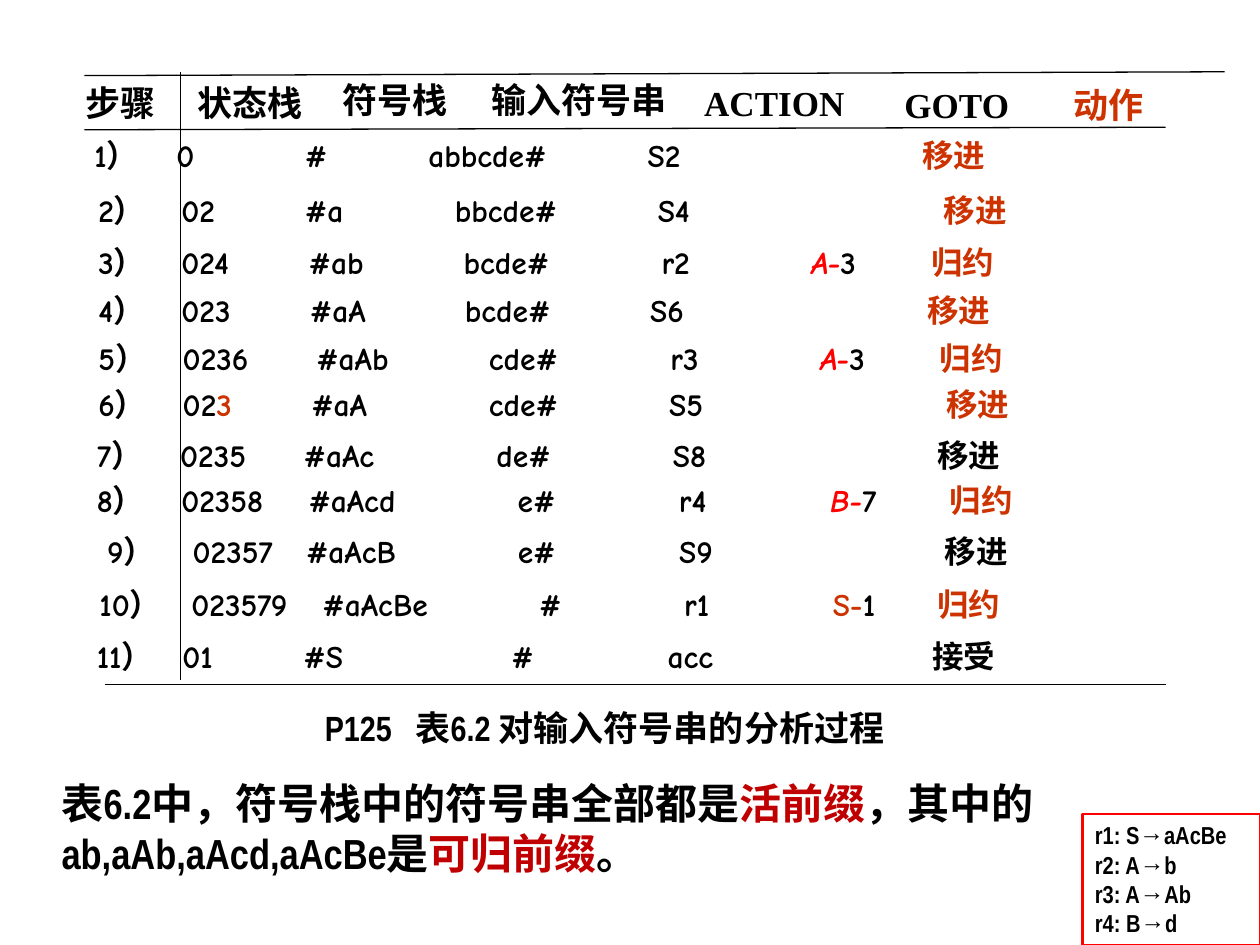
"""Build the slide of the parsing process for an input string."""
from dataclasses import dataclass

from lxml.etree import SubElement
from pptx import Presentation
from pptx.dml.color import RGBColor as RGB
from pptx.enum.shapes import MSO_CONNECTOR as Conn, MSO_SHAPE as Shape
from pptx.enum.text import MSO_ANCHOR as Anchor, MSO_AUTO_SIZE as Auto, PP_ALIGN as Align
from pptx.oxml.ns import qn
from pptx.util import Inches, Pt

BLACK = RGB(0x00, 0x00, 0x00)
ORANGE = RGB(0xCC, 0x33, 0x00)
RED = RGB(0xFF, 0x00, 0x00)
CRIMSON = RGB(0xC0, 0x00, 0x00)
SERIF, HAND, NARROW = "Times New Roman", "Comic Neue", "Arial Narrow"
COLS, ROWS = 1000, 750
CELL = Inches(10) // COLS
INSET = 10


@dataclass
class Run:
    text: str
    color: RGB = BLACK
    italic: bool = False


@dataclass
class Box:
    left: int
    top: int
    width: int
    height: int


@dataclass
class Step:
    box: Box
    stops: tuple[int, ...]
    runs: list[Run]


SHIFT, REDUCE = Run("移进", ORANGE), Run("归约", ORANGE)

RULES = [
    (67, 60, 972, 57), (67, 103, 925, 101), (83, 543, 925, 543), (143, 57, 143, 540),
]

HEADERS = [
    (Box(58, 60, 83, 43), Run("步骤")),
    (Box(147, 60, 117, 43), Run("状态栈")),
    (Box(262, 57, 117, 43), Run("符号栈")),
    (Box(380, 57, 167, 43), Run("输入符号串")),
    (Box(549, 60, 159, 44), Run("ACTION")),
    (Box(708, 61, 159, 44), Run("GOTO")),
    (Box(842, 61, 83, 43), Run("动作", ORANGE)),
]

STEPS = [
    Step(Box(57, 103, 866, 40), (75, 140, 242, 340, 514, 732),
         [Run("1）\t0\t#\tabbcde#\tS2\t"), SHIFT]),
    Step(Box(59, 147, 882, 40), (78, 144, 242, 361, 522, 749),
         [Run("2）\t02\t#a\tbbcde#\tS4\t"), SHIFT]),
    Step(Box(59, 188, 882, 40), (78, 144, 245, 368, 525, 644, 739),
         [Run("3）\t024\t#ab\tbcde#\tr2\t"), Run("A-", RED, True), Run("3\t"), REDUCE]),
    Step(Box(59, 226, 866, 40), (78, 144, 246, 369, 516, 736),
         [Run("4）\t023\t#aA\tbcde#\tS6\t"), SHIFT]),
    Step(Box(59, 264, 882, 40), (78, 145, 251, 388, 532, 651, 746),
         [Run("5）\t0236\t#aAb\tcde#\tr3\t"), Run("A-", RED, True), Run("3\t"), REDUCE]),
    Step(Box(59, 301, 882, 40), (78, 145, 247, 388, 531, 751),
         [Run("6）\t02"), Run("3\t", ORANGE), Run("#aA\tcde#\tS5\t"), SHIFT]),
    Step(Box(59, 341, 882, 40), (77, 143, 241, 394, 534, 744),
         [Run("7）\t0235\t#aAc\tde#\tS8\t移进")]),
    Step(Box(67, 377, 882, 40), (77, 144, 245, 411, 539, 659, 754),
         [Run("8）\t02358\t#aAcd\te#\tr4\t"), Run("B-", RED, True), Run("7\t"), REDUCE]),
    Step(Box(67, 417, 906, 40), (85, 153, 243, 411, 539, 750),
         [Run("9）\t02357\t#aAcB\te#\tS9\t移进")]),
    Step(Box(61, 459, 906, 40), (79, 152, 256, 428, 543, 661, 744),
         [Run("10）\t023579\t#aAcBe\t#\tr1\t"), Run("S-", ORANGE), Run("1\t"), REDUCE]),
    Step(Box(67, 501, 866, 40), (77, 145, 241, 406, 530, 740),
         [Run("11）\t01\t#S\t#\tacc\t接受")]),
]

CAPTION = [Run("P125\t表6.2 对输入符号串的分析过程")]
REMARK = [
    Run("表6.2中，符号栈中的符号串全部都是"), Run("活前缀", CRIMSON),
    Run("，其中的ab,aAb,aAcd,aAcBe是"), Run("可归前缀", CRIMSON), Run("。"),
]
GRAMMAR = ["r1: S→aAcBe", "r2: A→b", "r3: A→Ab", "r4: B→d"]


def place(box: Box) -> list[int]:
    """Return the box in slide units."""
    return [n * CELL for n in (box.left, box.top, box.width, box.height)]


def add_rule(slide, ends: tuple[int, ...]) -> None:
    """Draw a thin black line of the table frame."""
    s = slide.shapes.add_connector(Conn.STRAIGHT, *(n * CELL for n in ends))
    s.line.color.rgb, s.line.width = BLACK, Pt(0.75)
    SubElement(s._element.spPr, qn("a:effectLst"))


def add_tabs(p, stops: list[int]) -> None:
    """Give a paragraph left tab stops."""
    tabs = SubElement(p._p.get_or_add_pPr(), qn("a:tabLst"))
    for stop in stops:
        SubElement(tabs, qn("a:tab"), pos=str(stop * CELL), algn="l")


def fill_paragraph(p, runs: list[Run], font: str, size: int) -> None:
    """Write bold runs into a left-aligned paragraph."""
    p.alignment = Align.LEFT
    for run in runs:
        r = p.add_run()
        r.text = run.text
        r.font.color.rgb = run.color
        style = {"name": font, "size": Pt(size), "bold": True, "italic": run.italic}
        for key, value in style.items():
            setattr(r.font, key, value)


def add_text(slide, box: Box, runs: list[Run], font: str, size: int,
             indent: int = INSET, stops: tuple[int, ...] = ()) -> None:
    """Add a wrapped text box with tab stops measured from its text edge."""
    tf = slide.shapes.add_textbox(*place(box)).text_frame
    style = {"word_wrap": True, "auto_size": Auto.SHAPE_TO_FIT_TEXT,
             "margin_left": indent * CELL}
    for key, value in style.items():
        setattr(tf, key, value)
    p = tf.paragraphs[0]
    if stops:
        add_tabs(p, [stop - box.left - indent for stop in stops])
    fill_paragraph(p, runs, font, size)


def add_grammar(slide, box: Box) -> None:
    """Add the red frame that lists the productions."""
    sp = slide.shapes.add_shape(Shape.RECTANGLE, *place(box))
    sp.shadow.inherit = False
    sp.fill.background()
    sp.line.color.rgb, sp.line.width = RED, Pt(1.5)
    tf = sp.text_frame
    tf.word_wrap, tf.vertical_anchor = True, Anchor.TOP
    for i, rule in enumerate(GRAMMAR):
        p = tf.add_paragraph() if i else tf.paragraphs[0]
        fill_paragraph(p, [Run(rule)], NARROW, 14)


def main() -> None:
    """Build and save the slide."""
    prs = Presentation()
    prs.slide_width, prs.slide_height = COLS * CELL, ROWS * CELL
    slide = prs.slides.add_slide(prs.slide_layouts[6])
    for ends in RULES:
        add_rule(slide, ends)
    for box, run in HEADERS:
        add_text(slide, box, [run], SERIF, 20)
    for step in STEPS:
        first, *stops = step.stops
        add_text(slide, step.box, step.runs, HAND, 18, first - step.box.left, stops)
    add_text(slide, Box(248, 556, 635, 44), CAPTION, NARROW, 20, stops=(330,))
    add_text(slide, Box(39, 612, 805, 91), REMARK, NARROW, 24)
    add_grammar(slide, Box(859, 646, 141, 104))
    prs.save("out.pptx")


if __name__ == "__main__":
    main()
